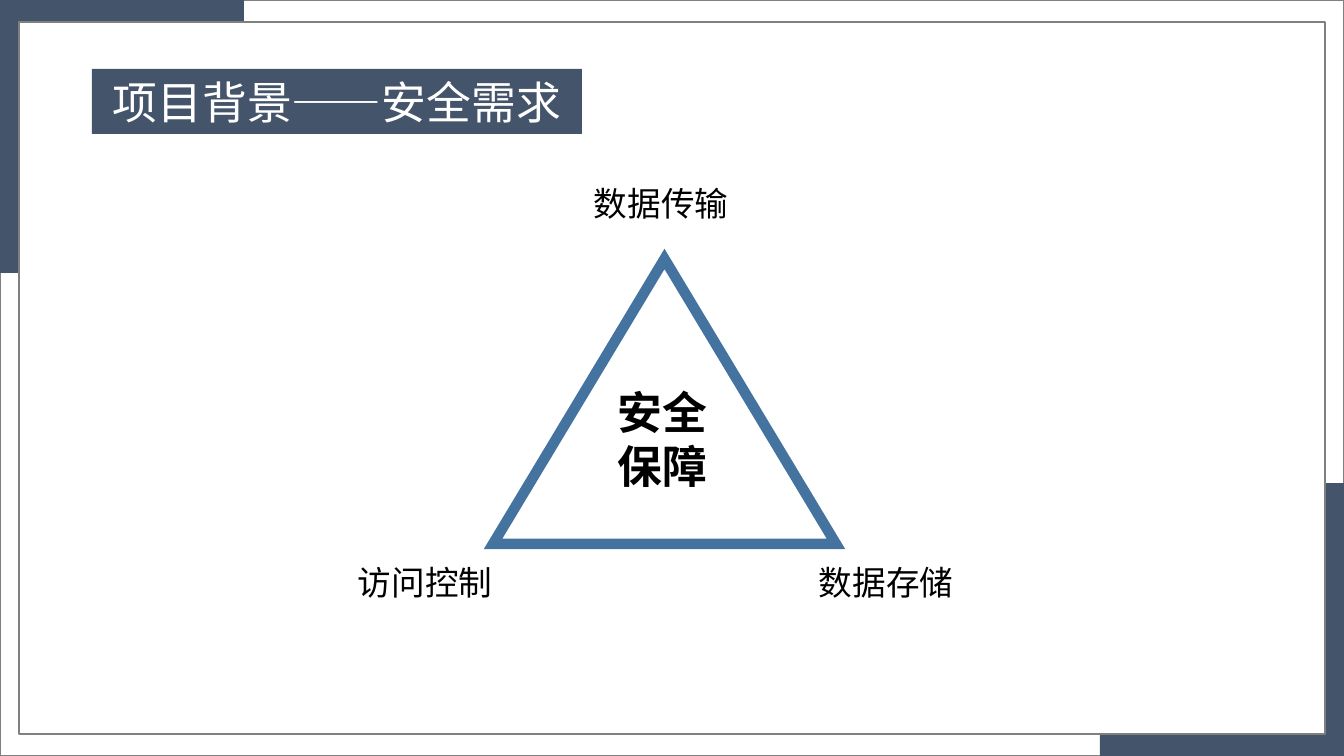
from lxml.etree import SubElement
from pptx import Presentation
from pptx.dml.color import RGBColor
from pptx.enum.shapes import MSO_SHAPE
from pptx.enum.text import MSO_ANCHOR, PP_ALIGN
from pptx.oxml.ns import qn
from pptx.util import Pt

SLIDE_W, SLIDE_H = 1344, 756
EMU_PER_PX = 914400 / 100.8

SLATE = RGBColor(0x44, 0x54, 0x6A)
BLUE = RGBColor(0x43, 0x73, 0x9E)
GRAY = RGBColor(0x80, 0x80, 0x80)
WHITE = RGBColor(0xFF, 0xFF, 0xFF)
BLACK = RGBColor(0, 0, 0)
LATIN_FONT, CHINESE_FONT = "Calibri", "Noto Sans CJK SC"


def px(length):
    return round(length * EMU_PER_PX)


def add_figure(slide, preset, box, fill=None, line=None, line_pt=1):
    figure = slide.shapes.add_shape(preset, *map(px, box))
    figure.shadow.inherit = False
    if fill is None:
        figure.fill.background()
    else:
        figure.fill.solid()
        figure.fill.fore_color.rgb = fill
    if line is None:
        figure.line.fill.background()
    else:
        figure.line.color.rgb = line
        figure.line.width = Pt(line_pt)
    return figure


def write_lines(frame, lines, size, color, font, bold=False, align=PP_ALIGN.LEFT):
    frame.word_wrap = True
    for index, line in enumerate(lines):
        paragraph = frame.add_paragraph() if index else frame.paragraphs[0]
        paragraph.text = line
        paragraph.alignment = align
        paragraph.font.size = Pt(size)
        paragraph.font.bold = bold
        paragraph.font.color.rgb = color
        paragraph.font.name = font
        # Chinese glyphs take the East Asian typeface
        properties = paragraph.font._element
        SubElement(properties, qn("a:ea")).set("typeface", CHINESE_FONT)


def add_text(slide, box, lines, size, bold=False):
    frame = slide.shapes.add_textbox(*map(px, box)).text_frame
    write_lines(frame, lines, size, BLACK, LATIN_FONT, bold)


def draw_frame(slide, box):
    left, top, width, height = box
    corner_w, corner_h = 244, 273
    margin_x, margin_y = 19, 22
    # Outer border
    add_figure(slide, MSO_SHAPE.RECTANGLE, box, line=GRAY)
    # Corner blocks, bottom right and top left
    for x, y in ((left + width - corner_w, top + height - corner_h), (left, top)):
        add_figure(slide, MSO_SHAPE.RECTANGLE, (x, y, corner_w, corner_h), SLATE)
    # Inner page
    page = (left + margin_x, top + margin_y,
            width - 2 * margin_x, height - 2 * margin_y)
    add_figure(slide, MSO_SHAPE.RECTANGLE, page, WHITE, GRAY)


def draw_title(slide, box):
    banner = add_figure(slide, MSO_SHAPE.RECTANGLE, box, SLATE)
    banner.text_frame.vertical_anchor = MSO_ANCHOR.MIDDLE
    write_lines(banner.text_frame, ["项目背景——安全需求"], 32, WHITE,
                CHINESE_FONT, align=PP_ALIGN.CENTER)


def draw_security_triangle(slide, box):
    left, top, width, height = box
    # Triangle with sharp corners
    triangle = add_figure(slide, MSO_SHAPE.FLOWCHART_EXTRACT, box,
                          line=BLUE, line_pt=7.5)
    outline = triangle.line._get_or_add_ln()
    SubElement(outline, qn("a:miter")).set("lim", "800000")
    # Labels at the three corners
    label_w, label_h = 177, 59
    below = top + height + 13
    for need, x, y in (("访问控制", left - 145, below),
                       ("数据传输", left + 91, top - 81),
                       ("数据存储", left + width - 27, below)):
        add_text(slide, (x, y, label_w, label_h), [need], 24)
    # Goal in the middle
    add_text(slide, (left + 115, top + 121, 128, 140), ["安全", "保障"], 32, bold=True)


def main():
    deck = Presentation()
    deck.slide_width, deck.slide_height = px(SLIDE_W), px(SLIDE_H)
    slide = deck.slides.add_slide(deck.slide_layouts[6])
    draw_frame(slide, (0, 0, SLIDE_W, SLIDE_H))
    draw_title(slide, (92, 69, 490, 65))
    draw_security_triangle(slide, (493, 259, 343, 285))
    deck.save("out.pptx")


if __name__ == "__main__":
    main()
